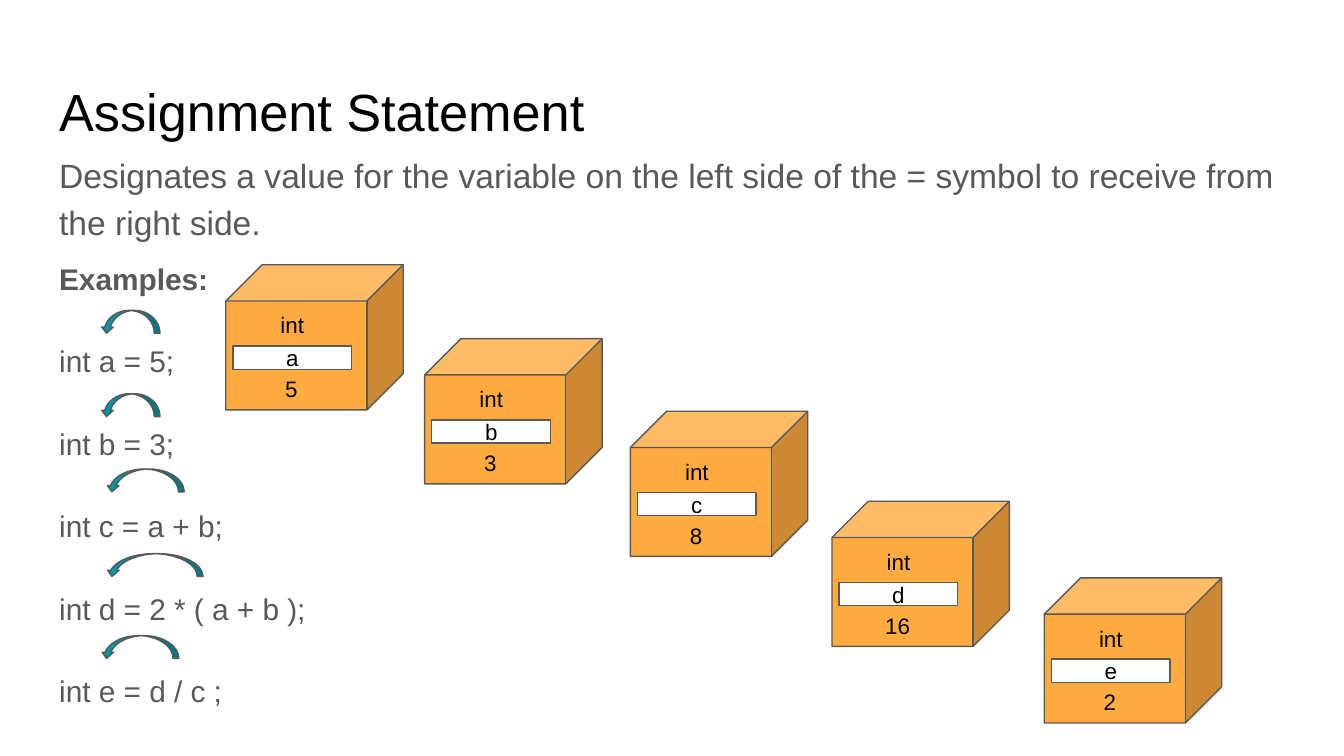
import pptx
import pptx.util
import pptx.dml.color
import pptx.enum.shapes
import pptx.enum.text
import pptx.oxml.ns
import lxml.etree

INCH = pptx.util.Inches
PT = pptx.util.Pt
SHAPE = pptx.enum.shapes.MSO_SHAPE
ALIGN = pptx.enum.text.PP_ALIGN
ANCHOR = pptx.enum.text.MSO_ANCHOR
COLORS = {"ink": "000000", "gray": "595959", "teal": "0097A7", "orange": "FFAB40", "white": "FFFFFF"}
FONT = "Arial"
MARGIN, CONTENT_W = 0.34, 9.32
CUBE_W, CUBE_H = 1.32, 1.08
ARROW_H = 0.17
VARIABLES = [
    ("a", "5", 1.68, 1.97),
    ("b", "3", 3.16, 2.52),
    ("c", "8", 4.69, 3.06),
    ("d", "16", 6.19, 3.73),
    ("e", "2", 7.77, 4.3),
]
ARROWS = [(0.75, 2.31, 0.44), (0.75, 2.93, 0.44), (0.79, 3.49, 0.58), (0.79, 4.12, 0.72), (0.75, 4.73, 0.58)]
STATEMENTS = ["int a = 5;", "int b = 3;", "int c = a + b;", "int d = 2 * ( a + b );", "int e = d / c ;"]


def rgb(name):
    return pptx.dml.color.RGBColor.from_string(COLORS[name])


def add_run(p, text, size, color, bold=False):
    r = p.add_run()
    r.text = text
    r.font.name = FONT
    r.font.size = PT(size)
    r.font.bold = bold
    r.font.color.rgb = rgb(color)


def set_frame(tf, anchor):
    tf.word_wrap = True
    tf.auto_size = pptx.enum.text.MSO_AUTO_SIZE.NONE
    tf.vertical_anchor = anchor
    tf.margin_left = tf.margin_right = tf.margin_top = tf.margin_bottom = INCH(0.1)


def fill_placeholder(sp, box, lines, size, color, spacing=1, gap=0, bold_first=False):
    sp.left, sp.top, sp.width, sp.height = map(INCH, box)
    tf = sp.text_frame
    set_frame(tf, ANCHOR.TOP)
    for i, line in enumerate(lines):
        p = tf.paragraphs[0] if i == 0 else tf.add_paragraph()
        p.alignment = ALIGN.LEFT
        p.line_spacing = spacing
        p.space_before = PT(gap if i else 0)
        p.space_after = PT(0)
        pPr = p._p.get_or_add_pPr()
        pPr.set("marL", "0")
        pPr.set("indent", "0")
        lxml.etree.SubElement(pPr, pptx.oxml.ns.qn("a:buNone"))
        add_run(p, line, size, color, bold_first and i == 0)


def add_outlined(s, kind, box, fill):
    sp = s.shapes.add_shape(kind, *map(INCH, box))
    sp.shadow.inherit = False
    sp.fill.solid()
    sp.fill.fore_color.rgb = rgb(fill)
    sp.line.color.rgb = rgb("gray")
    sp.line.width = PT(0.75)
    return sp


def write_centered(sp, text):
    set_frame(sp.text_frame, ANCHOR.MIDDLE)
    p = sp.text_frame.paragraphs[0]
    p.alignment = ALIGN.CENTER
    add_run(p, text, 12, "ink")


def add_variable(s, box, name, value):
    left, top, width, height = box

    def part(x, y, w, h):
        return left + x * width, top + y * height, w * width, h * height

    cube = add_outlined(s, SHAPE.CUBE, box, "orange")
    cube.adjustments[0] = 0.25
    write_centered(add_outlined(s, SHAPE.RECTANGLE, part(0.04, 0.56, 0.67, 0.16), "white"), name)
    for text, area in (("int", (0.19, 0.31, 0.37, 0.21)), (value, (0.21, 0.74, 0.32, 0.23))):
        write_centered(s.shapes.add_textbox(*map(INCH, part(*area))), text)


def add_arrow(s, left, top, length):
    shift = (length - ARROW_H) / 2
    box = (left + shift, top - shift, ARROW_H, length)
    arrow = add_outlined(s, SHAPE.CURVED_RIGHT_ARROW, box, "teal")
    arrow.rotation = 90
    for i, value in enumerate((0.25, 0.5, 0.27)):
        arrow.adjustments[i] = value


def build_slide(prs):
    s = prs.slides.add_slide(prs.slide_layouts[3])
    title, examples, definition = s.placeholders
    fill_placeholder(title, (MARGIN, 0.49, CONTENT_W, 0.63), ["Assignment Statement"], 28, "ink")
    fill_placeholder(examples, (MARGIN, 1.8, 2.2, 3.41), ["Examples:"] + STATEMENTS,
                     16, "gray", 1.15, 22.1, True)
    fill_placeholder(definition, (MARGIN, 1.01, CONTENT_W, 0.63),
                     ["Designates a value for the variable on the left side of the = symbol "
                      "to receive from the right side."], 18, "gray", 1.15)
    for arrow in ARROWS:
        add_arrow(s, *arrow)
    for name, value, left, top in VARIABLES:
        add_variable(s, (left, top, CUBE_W, CUBE_H), name, value)


def main():
    prs = pptx.Presentation()
    prs.slide_width = INCH(10)
    prs.slide_height = prs.slide_width * 9 // 16
    build_slide(prs)
    prs.save("out.pptx")


if __name__ == "__main__":
    main()
